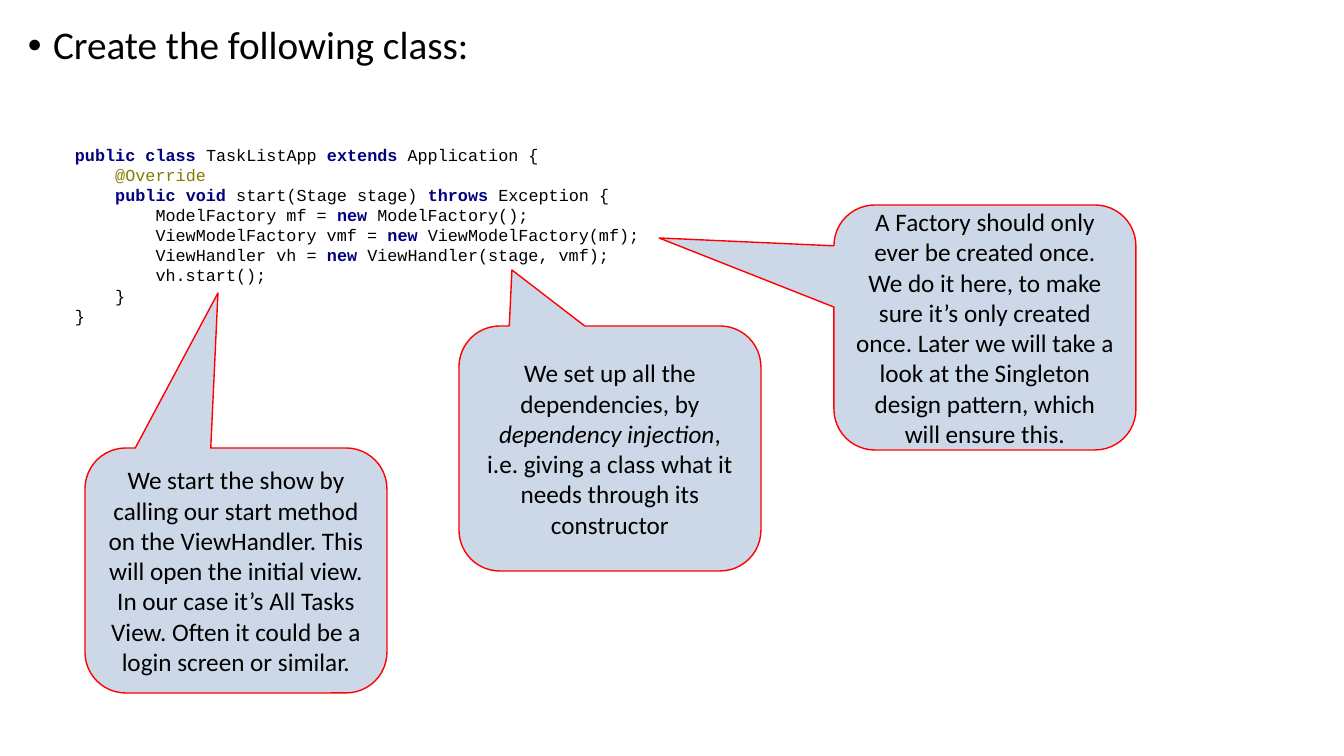
from lxml import etree
from pptx import Presentation
from pptx import util as u
from pptx.dml.color import RGBColor
from pptx.enum import shapes, text
from pptx.oxml.ns import qn

PX = 9144000 / 1008
BLACK, NAVY, OLIVE = "000000", "000080", "808000"
CALLOUT_FILL, CALLOUT_LINE = "CCD8E7", "FF0000"
CALLOUT_W, CALLOUT_H = 302, 245

# Asterisks enclose the highlighted parts of a line.
CODE = """*public class *TaskListApp *extends *Application {
    *@Override*
    *public void *start(Stage stage) *throws *Exception {
        ModelFactory mf = *new *ModelFactory();
        ViewModelFactory vmf = *new *ViewModelFactory(mf);
        ViewHandler vh = *new *ViewHandler(stage, vmf);
        vh.start();
    }
}"""

# Left, top, tip x, tip y, wording
CALLOUTS = [
    (834, 205, 659, 238,
     "A Factory should only ever be created once. We do it here, to make sure "
     "it’s only created once. Later we will take a look at the Singleton design "
     "pattern, which will ensure this."),
    (459, 326, 512, 270,
     "We set up all the dependencies, by *dependency injection*, i.e. giving a "
     "class what it needs through its constructor"),
    (85, 448, 218, 293,
     "We start the show by calling our start method on the ViewHandler. This will "
     "open the initial view. In our case it’s All Tasks View. Often it could be a "
     "login screen or similar."),
]


def px(*lengths):
    return [u.Emu(round(length * PX)) for length in lengths]


def rgb(colour):
    return RGBColor.from_string(colour)


def add_marked_runs(paragraph, marked, font_name, size):
    """Add the runs of a marked line and return the highlighted ones."""
    highlighted = []
    for index, part in enumerate(marked.split("*")):
        if not part:
            continue
        run = paragraph.add_run()
        run.text = part
        run.font.name, run.font.size = font_name, u.Pt(size)
        run.font.color.rgb = rgb(BLACK)
        if index % 2:
            highlighted.append(run)
    return highlighted


def add_heading(slide, wording):
    frame = slide.shapes.add_textbox(*px(18, 21, 1305, 718)).text_frame
    frame.word_wrap = True
    paragraph = frame.paragraphs[0]
    paragraph.line_spacing = 0.9
    properties = paragraph._p.get_or_add_pPr()
    indent = u.Inches(0.25)
    properties.set("marL", str(indent))
    properties.set("indent", str(-indent))
    etree.SubElement(properties, qn("a:buFont"), typeface="Arial")
    etree.SubElement(properties, qn("a:buChar"), char="•")
    add_marked_runs(paragraph, wording, "Calibri", 28)


def add_code(slide, code):
    box = slide.shapes.add_textbox(*px(65, 138, 595, 194))
    box.fill.solid()
    box.fill.fore_color.rgb = rgb("FFFFFF")
    frame = box.text_frame
    frame.word_wrap = True
    frame.vertical_anchor = text.MSO_ANCHOR.MIDDLE
    for number, line in enumerate(code.splitlines()):
        paragraph = frame.add_paragraph() if number else frame.paragraphs[0]
        for run in add_marked_runs(paragraph, line, "Courier New", 12):
            annotation = run.text.startswith("@")
            run.font.bold = not annotation
            run.font.color.rgb = rgb(OLIVE if annotation else NAVY)


def add_callout(slide, left, top, tip_x, tip_y, wording):
    callout = slide.shapes.add_shape(
        shapes.MSO_SHAPE.ROUNDED_RECTANGULAR_CALLOUT,
        *px(left, top, CALLOUT_W, CALLOUT_H))
    callout.adjustments[0] = (tip_x - left) / CALLOUT_W - 0.5
    callout.adjustments[1] = (tip_y - top) / CALLOUT_H - 0.5
    callout.shadow.inherit = False
    callout.fill.solid()
    callout.fill.fore_color.rgb = rgb(CALLOUT_FILL)
    callout.line.color.rgb = rgb(CALLOUT_LINE)
    callout.line.width = u.Pt(1)
    frame = callout.text_frame
    frame.word_wrap = True
    frame.vertical_anchor = text.MSO_ANCHOR.MIDDLE
    paragraph = frame.paragraphs[0]
    paragraph.alignment = text.PP_ALIGN.CENTER
    for run in add_marked_runs(paragraph, wording, "Calibri", 18):
        run.font.italic = True


def main():
    presentation = Presentation()
    presentation.slide_width, presentation.slide_height = px(1344, 756)
    slide = presentation.slides.add_slide(presentation.slide_layouts[6])
    add_heading(slide, "Create the following class:")
    add_code(slide, CODE)
    for callout in CALLOUTS:
        add_callout(slide, *callout)
    presentation.save("out.pptx")


if __name__ == "__main__":
    main()
